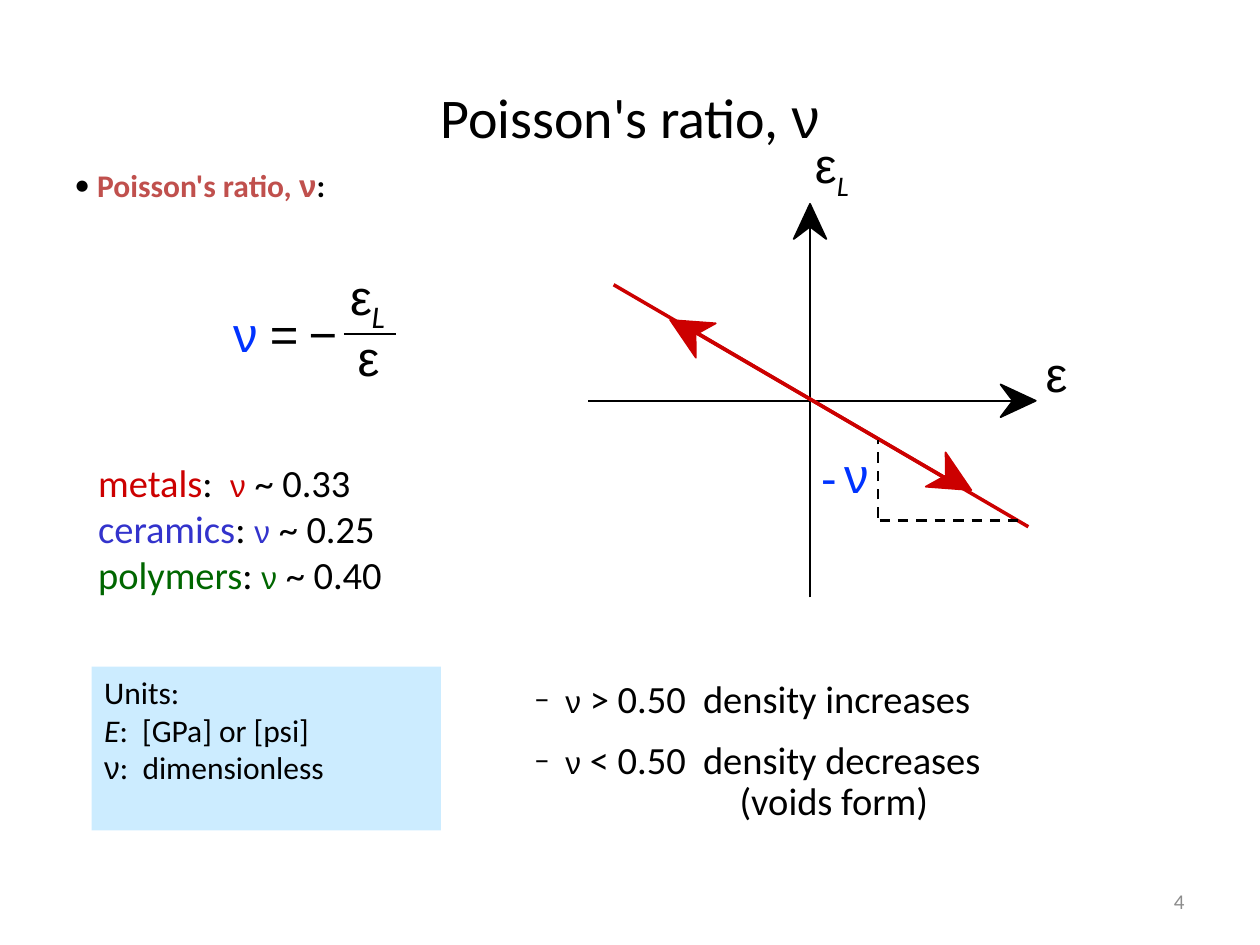
from math import cos, radians, sin

from lxml import etree
from pptx import Presentation
from pptx import util as u
from pptx.dml.color import RGBColor
from pptx.enum import dml, shapes, text
from pptx.oxml.ns import qn

BLACK, RED, BLUE = "000000", "CC0000", "0033FF"
SANS, GREEK = "Calibri", "Arial"

# Content: each paragraph is a list of (text, format) spans
NU = ("ν", dict(size=18, font=GREEK))
HEADING = [("Poisson's ratio, ", dict(bold=True, color="C0504D")),
           ("ν", dict(bold=True, color="C0504D", font=GREEK)), (":", dict(bold=True))]
MATERIALS = [("metals", RED, ":  ", " ~ 0.33"),
             ("ceramics", "3333CC", ": ", " ~ 0.25"),
             ("polymers", "006600", ": ", " ~ 0.40")]
UNITS = [[("Units:", {})],
         [("E", dict(italic=True)), (":  [GPa] or [psi]", {})],
         [("ν", dict(font=GREEK)), (":  dimensionless", {})]]
DENSITY = [" > 0.50  density increases", " < 0.50  density decreases"]

# Symbols: left, top, width (cm), spans
SYMBOLS = [
    (16.43, 2.72, 0.81, [("ε", dict(font=GREEK)), ("L", dict(italic=True, baseline=-25))]),
    (21.08, 6.93, 0.43, [("ε", dict(font=GREEK))]),
    (16.56, 9.02, 0.33, [("-", dict(color=BLUE))]),
    (17.02, 8.97, 0.51, [("ν", dict(font=GREEK, color=BLUE))]),
    (7.06, 5.38, 0.43, [("ε", dict(font=GREEK))]),
    (4.7, 6.12, 0.51, [("ν", dict(font=GREEK, color=BLUE))]),
    (5.44, 6.12, 0.53, [("=", dict(font=GREEK))]),
    (6.22, 6.12, 0.53, [("−", dict(font=GREEK))]),
    (7.49, 5.99, 0.36, [("L", dict(size=18, italic=True))]),
    (7.21, 6.6, 0.43, [("ε", dict(font=GREEK))]),
]

# Lines: x1, y1, x2, y2 (cm), color, width (pt), dashed
LINES = [
    (16.33, 12.04, 16.33, 4.57, BLACK, 1, False),
    (11.86, 8.08, 20.42, 8.08, BLACK, 1, False),
    (12.37, 5.74, 19.05, 9.63, RED, 2, False),
    (14.05, 6.71, 20.73, 10.62, RED, 2, False),
    (17.73, 10.49, 20.52, 10.49, BLACK, 1.5, True),
    (17.7, 10.44, 17.7, 8.86, BLACK, 1.5, True),
    (6.93, 6.73, 7.98, 6.73, BLACK, 1, False),
]

# Arrowheads: tip x, tip y, direction in degrees, (length, half width, notch), color
AXIS_HEAD, SLOPE_HEAD = (0.71, 0.33, 0.46), (0.83, 0.4, 0.59)
HEADS = [
    (16.33, 4.11, -90, AXIS_HEAD, BLACK),
    (20.88, 8.08, 0, AXIS_HEAD, BLACK),
    (19.58, 9.88, 30, SLOPE_HEAD, RED),
    (13.51, 6.45, 210, SLOPE_HEAD, RED),
]

deck = Presentation()
deck.slide_width, deck.slide_height = u.Cm(25.4), u.Cm(19.05)
page = deck.slides.add_slide(deck.slide_layouts[6])


def rgb(value):
    return RGBColor.from_string(value)


def add_span(para, words, size=18, font=SANS, color=BLACK, bold=False, italic=False,
             baseline=None):
    span = para.add_run()
    span.text = words
    style = span.font
    style.size, style.name, style.bold, style.italic = u.Pt(size), font, bold, italic
    style.color.rgb = rgb(color)
    if baseline:
        style._element.set("baseline", str(baseline * 1000))


def write(box, paragraphs, size=18, align=text.PP_ALIGN.LEFT, inset=True, wrap=True,
          anchor=text.MSO_ANCHOR.TOP):
    frame = box.text_frame
    frame.word_wrap, frame.vertical_anchor = wrap, anchor
    if not inset:
        frame.margin_left = frame.margin_right = frame.margin_top = frame.margin_bottom = 0
    for number, spans in enumerate(paragraphs):
        para = frame.add_paragraph() if number else frame.paragraphs[0]
        para.alignment = align
        for words, style in spans:
            add_span(para, words, **{"size": size, **style})
    return frame.paragraphs


def add_text(left, top, width, height, paragraphs, **style):
    box = page.shapes.add_textbox(*map(u.Cm, (left, top, width, height)))
    return write(box, paragraphs, **style)


def indent(para, left, bullet=None, hang=0):
    props = para._p.get_or_add_pPr()
    props.set("marL", str(u.Cm(left)))
    props.set("indent", str(-u.Cm(hang)))
    if bullet:
        tint = etree.SubElement(props, qn("a:buClr"))
        etree.SubElement(tint, qn("a:srgbClr")).set("val", BLACK)
        etree.SubElement(props, qn("a:buFont")).set("typeface", SANS)
        etree.SubElement(props, qn("a:buChar")).set("char", bullet)


def add_line(x1, y1, x2, y2, color, width, dashed):
    line = page.shapes.add_connector(shapes.MSO_CONNECTOR.STRAIGHT,
                                     *map(u.Cm, (x1, y1, x2, y2)))
    line.line.color.rgb, line.line.width = rgb(color), u.Pt(width)
    if dashed:
        line.line.dash_style = dml.MSO_LINE.DASH
    etree.SubElement(line._element.spPr, qn("a:effectLst"))


def add_head(x, y, angle, size, color):
    length, half, notch = size
    along, across = cos(radians(angle)), sin(radians(angle))

    def point(back, side):
        return (u.Cm(x - back * along - side * across),
                u.Cm(y - back * across + side * along))

    builder = page.shapes.build_freeform(*point(0, 0))
    builder.add_line_segments([point(length, half), point(notch, 0), point(length, -half)])
    head = builder.convert_to_shape()
    head.shadow.inherit = False
    head.fill.solid()
    head.fill.fore_color.rgb = head.line.color.rgb = rgb(color)
    head.line.width = u.Pt(1)


# Page number, title and heading
add_text(18.21, 17.65, 5.92, 1.02, [[("4", dict(color="8C8C8C"))]], size=12,
         align=text.PP_ALIGN.RIGHT, anchor=text.MSO_ANCHOR.MIDDLE)
add_text(1.27, 0.76, 22.86, 3.18, [[("Poisson's ratio, ", {}), ("ν", dict(font=GREEK))]],
         size=32, align=text.PP_ALIGN.CENTER, anchor=text.MSO_ANCHOR.MIDDLE)
heading = add_text(1.5, 3.35, 11.63, 1.02, [HEADING], inset=False)
indent(heading[0], 0.46, "•", 0.46)

# Units panel
panel = page.shapes.add_shape(shapes.MSO_SHAPE.RECTANGLE,
                              *map(u.Cm, (1.85, 13.44, 7.04, 3.3)))
panel.shadow.inherit = False
panel.fill.solid()
panel.fill.fore_color.rgb = rgb("CCECFF")
panel.line.fill.background()
write(panel, UNITS)

# Density notes
notes = [[NU, (words, {})] for words in DENSITY] + [[("(voids form)", {})]]
density = add_text(9.88, 13.59, 14.4, 3.43, notes, size=22)
for para, gap in zip(density, (11, 11, 0)):
    para.line_spacing, para.space_before = 0.9, u.Pt(gap)
for para in density[:2]:
    indent(para, 1.27, "–", 0.63)
indent(density[2], 4.78)

# Graph and formula
for line in LINES:
    add_line(*line)
for head in HEADS:
    add_head(*head)
for left, top, width, spans in SYMBOLS:
    add_text(left, top, width, 1.19, [spans], size=28, inset=False, wrap=False)

# Typical values
values = [[(name, dict(color=color)), (colon, {}),
           ("ν", dict(size=18, font=GREEK, color=color)), (value, {})]
          for name, color, colon, value in MATERIALS]
add_text(1.73, 9.12, 8.71, 3.3, values, size=22)

deck.save("out.pptx")
